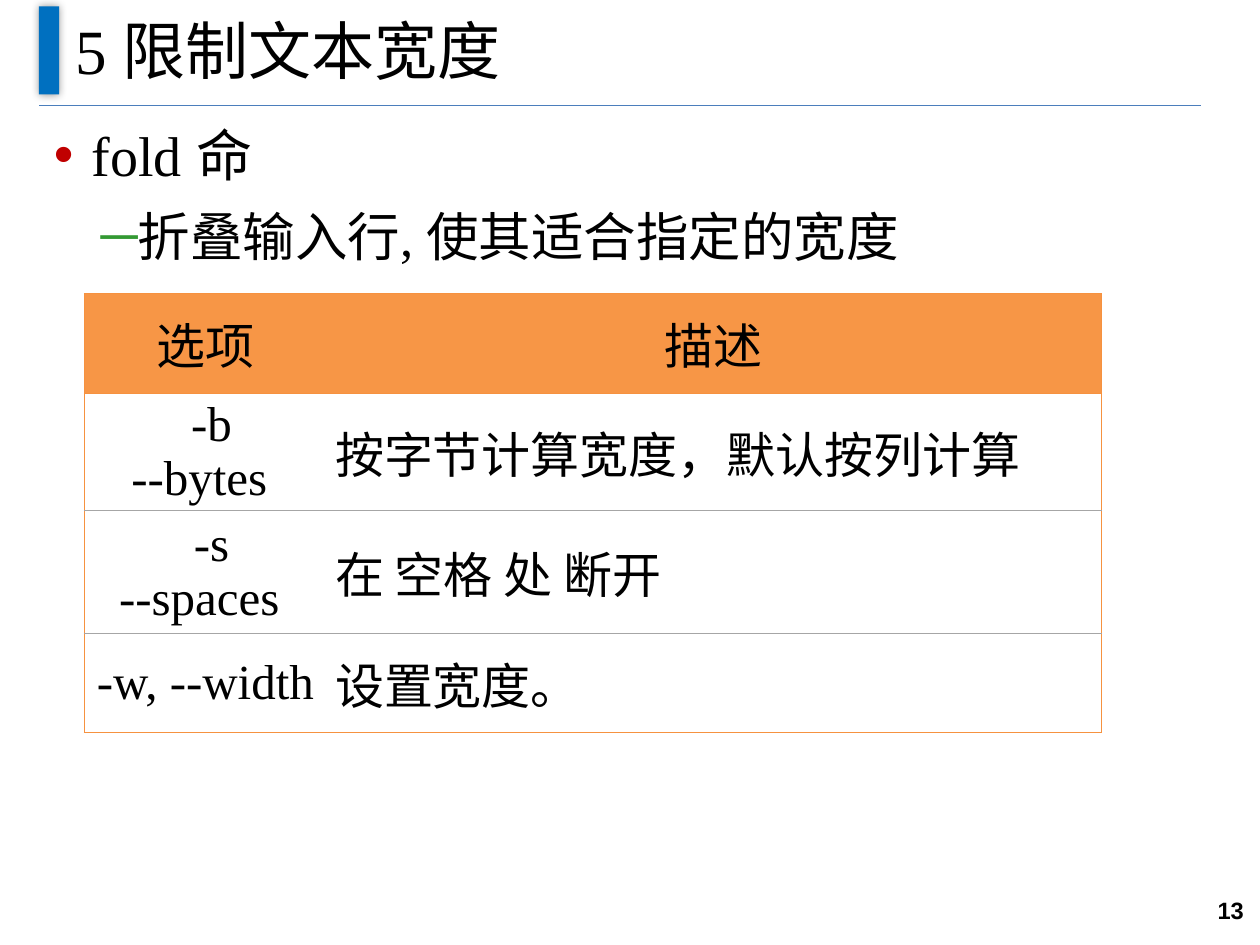
import pptx
import pptx.util
import pptx.oxml
import pptx.oxml.ns
import pptx.dml.color
import pptx.enum.shapes
import pptx.enum.text
from lxml import etree

Inches = pptx.util.Inches
Pt = pptx.util.Pt
ALIGN = pptx.enum.text.PP_ALIGN
MIDDLE = pptx.enum.text.MSO_ANCHOR.MIDDLE
SERIF = "Times New Roman"
ORANGE = "F69240"
GREY = "A6A6A6"

OPTIONS = [
    ("选项", "描述"),
    (" -b\n--bytes ", "按字节计算宽度，默认按列计算"),
    (" -s\n--spaces ", "在 空格 处 断开"),
    ("-w, --width", "设置宽度。"),
]


def color(value):
    return pptx.dml.color.RGBColor.from_string(value)


def add_xml(parent, tag, **attributes):
    child = etree.SubElement(parent, pptx.oxml.ns.qn(tag))
    for key, value in attributes.items():
        child.set(key, str(value))
    return child


def set_values(target, values):
    for key, value in values.items():
        setattr(target, key, value)


def write(paragraph, text, size, align, font=SERIF, bold=False):
    paragraph.alignment = align
    run = paragraph.add_run()
    run.text = text
    set_values(run.font, {"name": font, "size": Pt(size), "bold": bold})
    run.font.color.rgb = color("000000")


def add_text_frame(slide, box, **values):
    frame = slide.shapes.add_textbox(*map(Inches, box)).text_frame
    set_values(frame, {"word_wrap": True, **values})
    return frame


def add_heading(slide, box):
    left, top, width, height = box
    # Rule below the title
    rule = slide.shapes.add_connector(
        pptx.enum.shapes.MSO_CONNECTOR.STRAIGHT,
        Inches(left), Inches(top + height), Inches(left + width), Inches(top + height))
    rule.line.color.rgb = color("4B7EBC")
    rule.line.width = Pt(0.75)
    add_xml(rule._element.spPr, "a:effectLst")

    # Blue bar with a soft shadow
    bar = slide.shapes.add_shape(
        pptx.enum.shapes.MSO_SHAPE.RECTANGLE,
        Inches(left), Inches(top + 0.05), Inches(0.16), Inches(0.7))
    bar.fill.solid()
    bar.fill.fore_color.rgb = color("0070C0")
    bar.line.fill.background()
    effects = add_xml(bar._element.spPr, "a:effectLst")
    shadow = add_xml(effects, "a:outerShdw", blurRad=Pt(5), dist=0, dir=0, rotWithShape=0)
    add_xml(add_xml(shadow, "a:srgbClr", val="000000"), "a:alpha", val=40000)

    # Title
    title = add_text_frame(slide, (left + 0.19, top - 0.03, 9, height), vertical_anchor=MIDDLE)
    write(title.paragraphs[0], "5 限制文本宽度", 36, ALIGN.LEFT)


def add_bullets(slide, box):
    frame = add_text_frame(slide, box)
    points = [
        ("fold 命", 32, 0, 0.3, -0.3, "•", "C00000"),
        ("折叠输入行, 使其适合指定的宽度", 30, 1, 0.66, -0.29, "─", "339933"),
    ]
    for text, size, level, margin, indent, mark, mark_color in points:
        point = frame.paragraphs[0] if level == 0 else frame.add_paragraph()
        write(point, text, size, ALIGN.JUSTIFY)
        set_values(point, {"level": level, "space_before": Pt(4.5), "space_after": Pt(4.5)})
        properties = point._p.get_or_add_pPr()
        properties.set("marL", str(Inches(margin)))
        properties.set("indent", str(Inches(indent)))
        add_xml(add_xml(properties, "a:buClr"), "a:srgbClr", val=mark_color)
        add_xml(properties, "a:buFont", typeface="Arial")
        add_xml(properties, "a:buChar", char=mark)


def set_borders(cell, sides):
    properties = cell._tc.get_or_add_tcPr()
    for position, (side, style) in enumerate(sides.items()):
        edge = pptx.oxml.parse_xml(
            f'<a:{side} {pptx.oxml.ns.nsdecls("a")}/>')
        if style:
            line_color, points = style
            edge.set("w", str(Pt(points)))
            add_xml(add_xml(edge, "a:solidFill"), "a:srgbClr", val=line_color)
        else:
            add_xml(edge, "a:noFill")
        properties.insert(position, edge)


def add_options_table(slide, box):
    column_widths = (1.92, 6.15)
    row_heights = (0.79, 0.79, 0.97, 0.79)
    table = slide.shapes.add_table(
        len(OPTIONS), len(column_widths), *map(Inches, box)).table
    for column, width in zip(table.columns, column_widths):
        column.width = Inches(width)
    for row, height in zip(table.rows, row_heights):
        row.height = Inches(height)

    outer, inner = (ORANGE, 0.75), (GREY, 0.5)
    last = len(OPTIONS) - 1
    for r, entries in enumerate(OPTIONS):
        for c, text in enumerate(entries):
            cell = table.cell(r, c)
            set_values(cell, {
                "vertical_anchor": MIDDLE,
                "margin_left": Inches(0.07), "margin_right": Inches(0.07),
                "margin_top": 0, "margin_bottom": 0})
            if r == 0:
                cell.fill.solid()
                cell.fill.fore_color.rgb = color("F79646")
            else:
                cell.fill.background()
            align = ALIGN.CENTER if r == 0 or c == 0 else ALIGN.LEFT
            for number, line in enumerate(text.split("\n")):
                frame = cell.text_frame
                paragraph = frame.add_paragraph() if number else frame.paragraphs[0]
                write(paragraph, line, 28, align)
            set_borders(cell, {
                "lnL": outer if c == 0 else None,
                "lnR": outer if c == 1 else None,
                "lnT": outer if r <= 1 else inner,
                "lnB": outer if r in (0, last) else inner})


def add_page_number(slide, box):
    frame = add_text_frame(slide, box, vertical_anchor=MIDDLE)
    write(frame.paragraphs[0], "13", 13.5, ALIGN.RIGHT, font="Arial", bold=True)


def main():
    deck = pptx.Presentation()
    set_values(deck, {"slide_width": Inches(10), "slide_height": Inches(7.5)})
    slide = deck.slides.add_slide(deck.slide_layouts[6])
    add_heading(slide, (0.31, 0, 9.22, 0.84))
    add_bullets(slide, (0.33, 0.91, 9.18, 6.34))
    add_page_number(slide, (9.04, 6.95, 0.93, 0.55))
    add_options_table(slide, (0.67, 2.33, 8.07, 3.34))
    deck.save("out.pptx")


if __name__ == "__main__":
    main()
